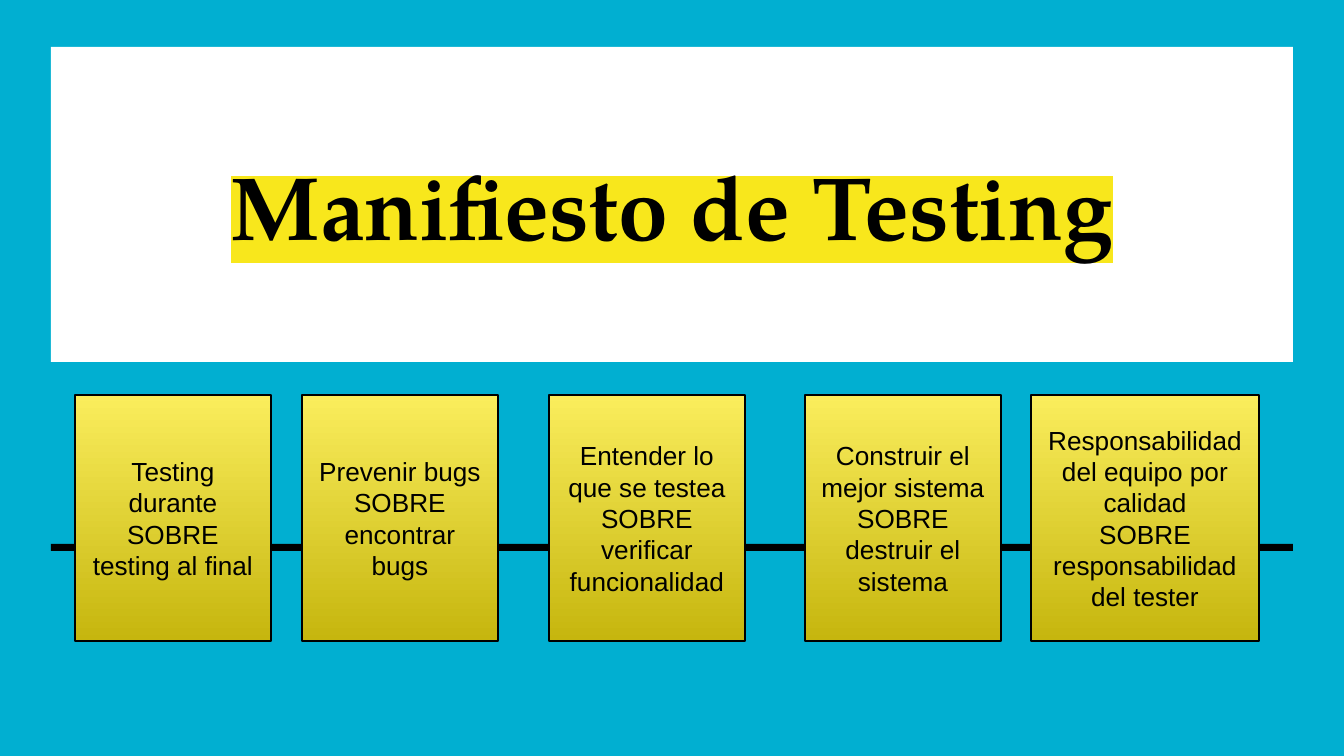
import pptx
import pptx.util
import pptx.dml.color
import pptx.enum.shapes
import pptx.enum.text
import pptx.oxml
import pptx.oxml.ns

PX = 914400 / 134.4  # EMU per px


def color(value):
    return pptx.dml.color.RGBColor.from_string(value)


def add_box(page, left, top, width, height, paragraphs=(), size=14, font="Arial"):
    edges = [round(length * PX) for length in (left, top, width, height)]
    box = page.shapes.add_shape(pptx.enum.shapes.MSO_SHAPE.RECTANGLE, *edges)
    box.shadow.inherit = False
    box.line.fill.background()
    frame = box.text_frame
    frame.word_wrap = True
    frame.vertical_anchor = pptx.enum.text.MSO_ANCHOR.MIDDLE
    frame.margin_left = frame.margin_right = pptx.util.Inches(0.1)
    frame.margin_top = frame.margin_bottom = pptx.util.Inches(0.1)
    frame.text = "\n".join(paragraphs)
    for para in frame.paragraphs:
        para.alignment = pptx.enum.text.PP_ALIGN.CENTER
        for span in para.runs:
            span.font.size = pptx.util.Pt(size)
            span.font.name = font
            span.font.color.rgb = color("000000")
    return box


deck = pptx.Presentation()
deck.slide_width = round(1344 * PX)
deck.slide_height = round(756 * PX)
page = deck.slides.add_slide(deck.slide_layouts[6])
page.background.fill.solid()
page.background.fill.fore_color.rgb = color("01AFD1")

# Timeline bar behind the cards
bar = add_box(page, 51, 544, 1242, 7)
bar.fill.solid()
bar.fill.fore_color.rgb = color("000000")

# Title panel with highlighted text
title = add_box(page, 51, 47, 1242, 315, ["Manifiesto de Testing"], 48, "TeX Gyre Pagella")
title.fill.solid()
title.fill.fore_color.rgb = color("FFFFFF")
span = title.text_frame.paragraphs[0].runs[0]
span.font.bold = True
highlight = pptx.oxml.parse_xml(
    f'<a:highlight {pptx.oxml.ns.nsdecls("a")}><a:srgbClr val="F8E71C"/></a:highlight>'
)
span.font.color.rgb = color("000000")
span._r.rPr.find(pptx.oxml.ns.qn("a:latin")).addprevious(highlight)

# Principle cards: left, width, paragraphs
cards = [
    (75, 196, ["Testing durante SOBRE testing al final"]),
    (302, 196, ["Prevenir bugs SOBRE encontrar bugs"]),
    (549, 196, ["Entender lo que se testea SOBRE verificar funcionalidad"]),
    (805, 196, ["Construir el mejor sistema SOBRE destruir el sistema"]),
    (1031, 228, ["Responsabilidad del equipo por calidad", "SOBRE responsabilidad del tester"]),
]
for left, width, paragraphs in cards:
    card = add_box(page, left, 395, width, 246, paragraphs)
    card.fill.gradient()
    card.fill.gradient_angle = 270
    for stop, shade in zip(card.fill.gradient_stops, ("FAED5C", "C6B60E")):
        stop.color.rgb = color(shade)
    card.line.color.rgb = color("000000")
    card.line.width = pptx.util.Pt(0.75)

deck.save("out.pptx")
